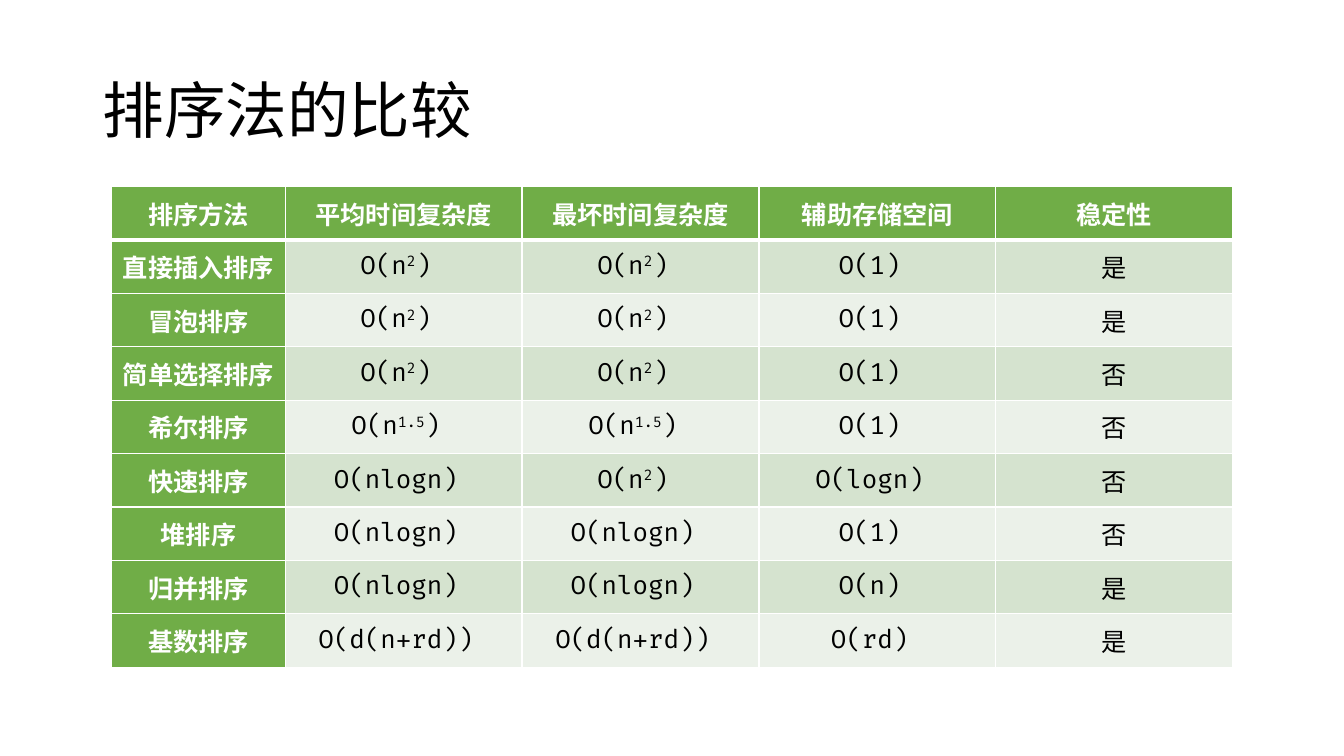
import pptx
import pptx.dml.color
import pptx.enum.text
import pptx.oxml.ns
import pptx.util
from lxml import etree

Pt = pptx.util.Pt
qn = pptx.oxml.ns.qn
ALIGN = pptx.enum.text.PP_ALIGN
MIDDLE = pptx.enum.text.MSO_ANCHOR.MIDDLE

TEXT_FONT, CODE_FONT = "Noto Sans CJK SC", "Fira Code"
GREEN, DARK_BAND, LIGHT_BAND = "70AD47", "D5E3CF", "EBF1E9"
BLACK, WHITE = "000000", "FFFFFF"

COLUMN_WIDTHS = [123.84, 169.2, 169.2, 169.2, 169.2]
ROW_HEIGHT = 38.16

# A caret pair encloses a superscript; the trailing space belongs to each formula
SQUARE, SHELL, LOG, RADIX = "O(n^2^) ", "O(n^1.5^) ", "O(nlogn) ", "O(d(n+rd)) "
ROWS = [
    ["排序方法", "平均时间复杂度", "最坏时间复杂度", "辅助存储空间", "稳定性"],
    ["直接插入排序", SQUARE, SQUARE, "O(1) ", "是"],
    ["冒泡排序", SQUARE, SQUARE, "O(1) ", "是"],
    ["简单选择排序", SQUARE, SQUARE, "O(1) ", "否"],
    ["希尔排序", SHELL, SHELL, "O(1) ", "否"],
    ["快速排序", LOG, SQUARE, "O(logn) ", "否"],
    ["堆排序", LOG, LOG, "O(1) ", "否"],
    ["归并排序", LOG, LOG, "O(n) ", "是"],
    ["基数排序", RADIX, RADIX, "O(rd) ", "是"],
]


def color(value):
    return pptx.dml.color.RGBColor.from_string(value)


def format_span(span, size, font, fill, bold=False):
    span.font.size = Pt(size)
    span.font.bold = bold
    span.font.color.rgb = color(fill)
    span.font.name = font
    etree.SubElement(span.font._element, qn("a:ea"), typeface=font)


def add_title(page, text):
    box = page.shapes.title
    box.left, box.top, box.width, box.height = Pt(66), Pt(28.75), Pt(828), Pt(104.4)
    frame = box.text_frame
    frame.text = text
    frame.vertical_anchor = MIDDLE
    para = frame.paragraphs[0]
    para.alignment = ALIGN.LEFT
    para.line_spacing = 0.9
    format_span(para.runs[0], 44, TEXT_FONT, BLACK)


def set_borders(cell, widths):
    properties = cell._tc.get_or_add_tcPr()
    for index, (side, width) in enumerate(widths.items()):
        line = etree.Element(qn("a:ln" + side), w=str(Pt(width)))
        fill = etree.SubElement(line, qn("a:solidFill"))
        etree.SubElement(fill, qn("a:srgbClr"), val=WHITE)
        properties.insert(index, line)


def fill_cell(cell, text, fill, ink, bold):
    cell.fill.solid()
    cell.fill.fore_color.rgb = color(fill)
    cell.vertical_anchor = MIDDLE
    para = cell.text_frame.paragraphs[0]
    para.alignment = ALIGN.CENTER
    # Space before, as a share of the text size
    before = etree.SubElement(para._p.get_or_add_pPr(), qn("a:spcBef"))
    etree.SubElement(before, qn("a:spcPct"), val="20000")
    font = CODE_FONT if text.startswith("O(") else TEXT_FONT
    for index, part in enumerate(text.split("^")):
        span = para.add_run()
        span.text = part
        format_span(span, 18, font, ink, bold)
        if index % 2:
            span.font._element.set("baseline", "30000")


def add_comparison_table(page):
    frame = page.shapes.add_table(
        len(ROWS), len(COLUMN_WIDTHS), Pt(79.92), Pt(133.2),
        Pt(sum(COLUMN_WIDTHS)), Pt(ROW_HEIGHT * len(ROWS)))
    table = frame.table
    table.first_col = True
    for column, width in zip(table.columns, COLUMN_WIDTHS):
        column.width = Pt(width)
    for row_index, texts in enumerate(ROWS):
        table.rows[row_index].height = Pt(ROW_HEIGHT)
        band = DARK_BAND if row_index % 2 else LIGHT_BAND
        # The rule under the header row is thicker
        borders = {"L": 1, "R": 1, "T": 3 if row_index == 1 else 1,
                   "B": 3 if row_index == 0 else 1}
        for column_index, text in enumerate(texts):
            heading = row_index == 0 or column_index == 0
            cell = table.cell(row_index, column_index)
            fill_cell(cell, text, GREEN if heading else band,
                      WHITE if heading else BLACK, heading)
            set_borders(cell, borders)


def main():
    deck = pptx.Presentation()
    deck.slide_width, deck.slide_height = Pt(960), Pt(540)
    page = deck.slides.add_slide(deck.slide_layouts[5])
    add_title(page, "排序法的比较")
    add_comparison_table(page)
    deck.save("out.pptx")


main()
